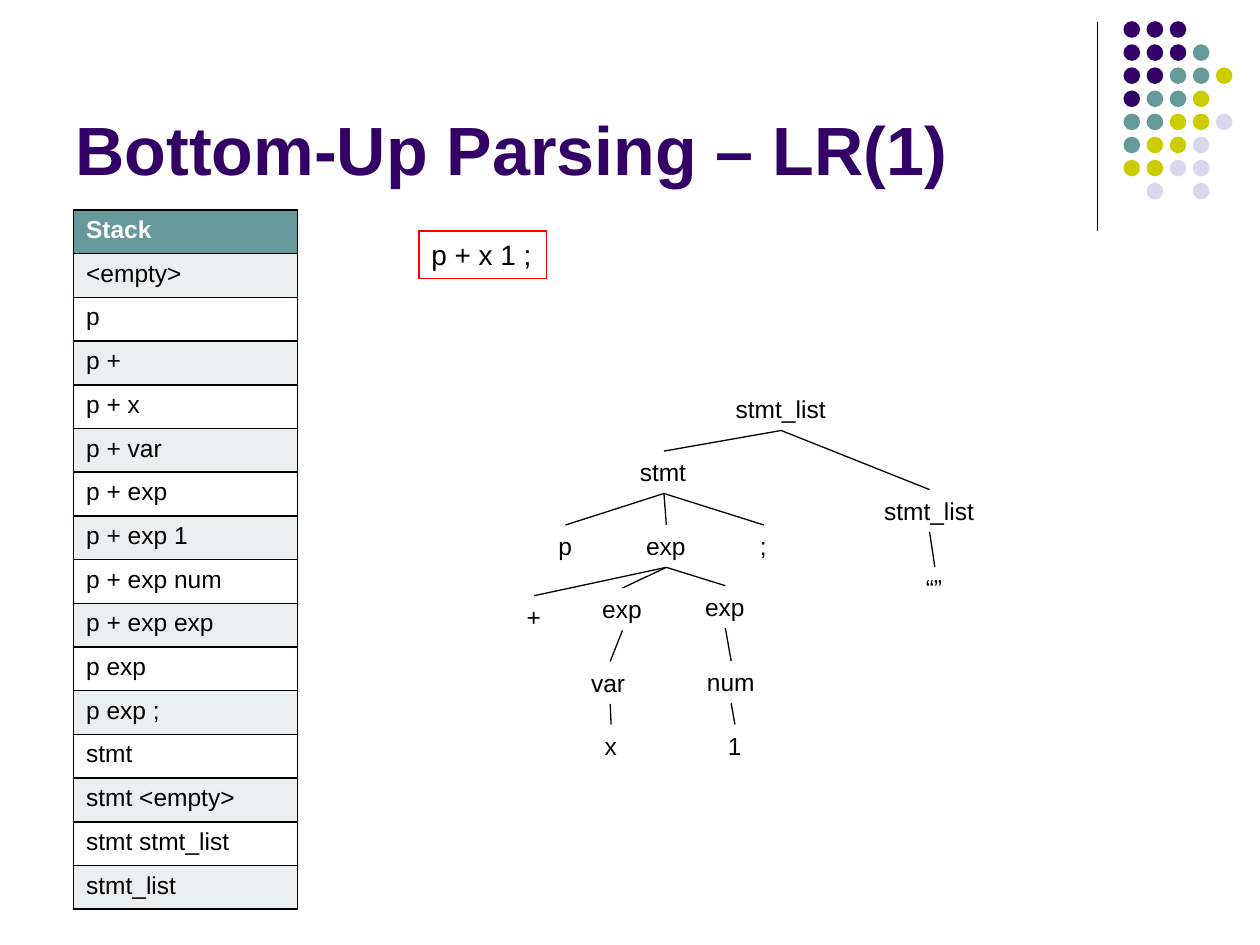
"""Build the LR(1) bottom-up parsing slide: stack table, input and parse tree."""
from lxml import etree
from pptx import Presentation
from pptx.dml.color import RGBColor
from pptx.enum import shapes as kinds, text as txt
from pptx.oxml import ns
from pptx.util import Pt

FONT, INK, PLUM, TEAL = "Arial", "000000", "330066", "669999"
TITLE = "Bottom-Up Parsing – LR(1)"
INPUT = "p + x 1 ;"
STACK = ["Stack", "<empty>", "p", "p +", "p + x", "p + var", "p + exp",
         "p + exp 1", "p + exp num", "p + exp exp", "p exp", "p exp ;",
         "stmt", "stmt <empty>", "stmt stmt_list", "stmt_list"]
DOTS = ["PPP", "PPPT", "PPTTY", "PTTY", "TTYYL", "TYYL", "YYLL", " L L"]
HUES = {"P": PLUM, "T": TEAL, "Y": "CCCC00", "L": "D8D8EC"}
# name: (label, parent, centre x, top, width)
TREE = {
    "root": ("stmt_list", None, 446.4, 221.8, 66.2),
    "stmt": ("stmt", "root", 379.4, 257.8, 41.8),
    "p": ("p", "stmt", 323.2, 300, 22.3),
    "sum": ("exp", "stmt", 380.8, 300, 37.4),
    "end": (";", "stmt", 436.5, 300, 18.7),
    "plus": ("+", "sum", 305.3, 340.4, 23),
    "left": ("exp", "sum", 355.7, 336, 37.4),
    "right": ("exp", "sum", 414.5, 334.7, 37.4),
    "var": ("var", "left", 348.7, 378, 36),
    "num": ("num", "right", 417.8, 377.7, 41.8),
    "x": ("x", "var", 349.2, 414, 21.6),
    "one": ("1", "num", 420, 414, 22.3),
    "rest": ("stmt_list", "root", 531.2, 279.8, 66.2),
    "none": ("“”", "rest", 534.2, 324, 24.5),
}
NODE_H = 24.2


def hue(code):
    return RGBColor.from_string(code)


def write(frame, words, size, color=INK, bold=False):
    run = frame.paragraphs[0].add_run()
    run.text = words
    font = run.font
    font.name, font.size, font.bold = FONT, Pt(size), bold
    font.color.rgb = hue(color)


def label(slide, words, box, size, color=INK, bold=False, wrap=False):
    shape = slide.shapes.add_textbox(*map(Pt, box))
    shape.text_frame.word_wrap = wrap
    write(shape.text_frame, words, size, color, bold)
    return shape


def line(slide, *ends):
    rule = slide.shapes.add_connector(kinds.MSO_CONNECTOR.STRAIGHT, *map(Pt, ends))
    rule.line.color.rgb = hue(INK)
    rule.line.width = Pt(0.75)
    etree.SubElement(rule._element.spPr, ns.qn("a:effectLst"))


def border(cell):
    props = cell._tc.get_or_add_tcPr()
    for spot, side in enumerate(("lnL", "lnR", "lnT", "lnB")):
        edge = etree.Element(ns.qn("a:" + side), w=str(Pt(1)))
        fill = etree.SubElement(edge, ns.qn("a:solidFill"))
        etree.SubElement(fill, ns.qn("a:srgbClr"), val=INK)
        props.insert(spot, edge)


def corner(slide):
    line(slide, 627, 12.5, 627, 132)
    for row, marks in enumerate(DOTS):
        for col, mark in enumerate(marks):
            if mark not in HUES:
                continue
            box = (642 + 13.2 * col, 12.1 + 13.2 * row, 9.5, 9.5)
            dot = slide.shapes.add_shape(kinds.MSO_SHAPE.OVAL, *map(Pt, box))
            dot.shadow.inherit = False
            dot.fill.solid()
            dot.fill.fore_color.rgb = hue(HUES[mark])
            dot.line.fill.background()


def stack(slide):
    box = (42, 120, 128, 25 * len(STACK))
    table = slide.shapes.add_table(len(STACK), 1, *map(Pt, box)).table
    for row, words in enumerate(STACK):
        cell = table.cell(row, 0)
        head = row == 0
        cell.fill.solid()
        cell.fill.fore_color.rgb = hue(TEAL if head else ("FFFFFF", "EAEFEF")[row % 2])
        write(cell.text_frame, words, 14, "FFFFFF" if head else INK, head)
        border(cell)


def tree(slide):
    for words, above, mid, top, wide in TREE.values():
        label(slide, words, (mid - wide / 2, top, wide, NODE_H), 14)
        if above:
            _, _, start, high, _ = TREE[above]
            line(slide, start, high + NODE_H, mid, top)


def main():
    deck = Presentation()
    deck.slide_width, deck.slide_height = Pt(720), Pt(540)
    slide = deck.slides.add_slide(deck.slide_layouts[6])
    corner(slide)
    title = label(slide, TITLE, (36, 9.4, 594, 102.2), 39, PLUM, True, True)
    title.text_frame.vertical_anchor = txt.MSO_ANCHOR.BOTTOM
    entry = label(slide, INPUT, (239.4, 132, 72.7, 27), 16)
    entry.line.color.rgb = hue("FF0000")
    entry.line.width = Pt(0.75)
    stack(slide)
    tree(slide)
    deck.save("out.pptx")


if __name__ == "__main__":
    main()
